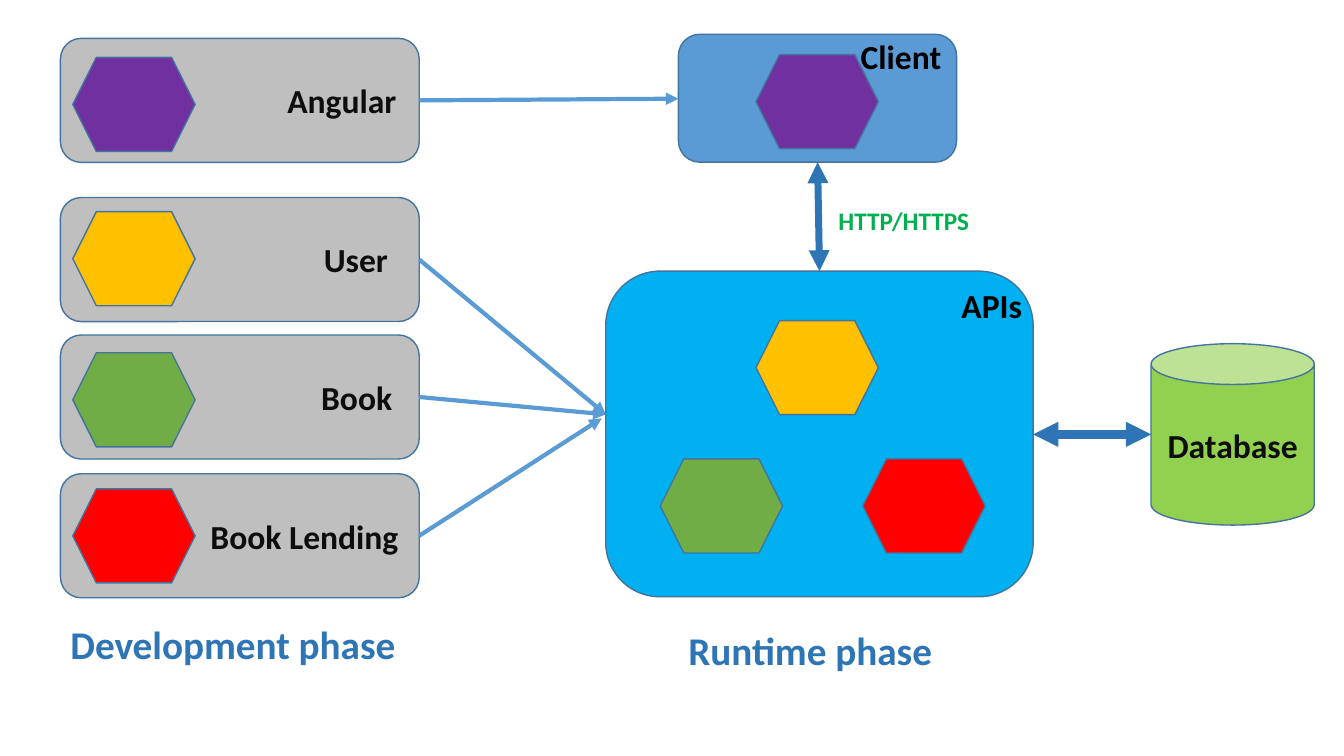
from lxml import etree
from pptx import Presentation
from pptx.dml.color import RGBColor
from pptx.enum.shapes import MSO_CONNECTOR, MSO_SHAPE
from pptx.enum.text import MSO_ANCHOR, PP_ALIGN
from pptx.oxml.ns import qn
from pptx.util import Pt

ROUNDED = MSO_SHAPE.ROUNDED_RECTANGLE
HEXAGON = MSO_SHAPE.HEXAGON
CAN = MSO_SHAPE.CAN
STRAIGHT = MSO_CONNECTOR.STRAIGHT
MIDDLE = MSO_ANCHOR.MIDDLE
CENTER, RIGHT = PP_ALIGN.CENTER, PP_ALIGN.RIGHT

OUTLINE = RGBColor(0x43, 0x73, 0x9E)
GRAY = RGBColor(0xBF, 0xBF, 0xBF)
PURPLE = RGBColor(0x70, 0x30, 0xA0)
AMBER = RGBColor(0xFF, 0xC0, 0x00)
GREEN = RGBColor(0x70, 0xAD, 0x47)
RED = RGBColor(0xFF, 0x00, 0x00)
SKY = RGBColor(0x00, 0xB0, 0xF0)
BLUE = RGBColor(0x5B, 0x9B, 0xD5)
DEEP_BLUE = RGBColor(0x2E, 0x75, 0xB6)
LIME = RGBColor(0x92, 0xD0, 0x50)
HTTP_GREEN = RGBColor(0x00, 0xB0, 0x50)
BLACK = RGBColor(0x00, 0x00, 0x00)
INK = RGBColor(0x0D, 0x0D, 0x0D)

CARD_LEFT, CARD_WIDTH, CARD_HEIGHT = 43.2, 256.3, 88.6
CARD_RIGHT = CARD_LEFT + CARD_WIDTH
HEXAGON_LEFT, HEXAGON_WIDTH, HEXAGON_HEIGHT = 52, 87.4, 67.2

# label, colour, card top, hexagon top, right margin of the label, arrow end
MODULES = [
    ("Angular", PURPLE, 27.4, 41, 12, (484.6, 70.5)),
    ("User", AMBER, 141.1, 151.2, 18, (432.7, 296)),
    ("Book", GREEN, 239.3, 252, 15, (432.7, 296)),
    ("Book Lending", RED, 338.4, 349.2, 10.5, (429.8, 298.8)),
]
RUNTIME_HEXAGONS = [
    (540, 39, PURPLE),
    (540, 229, AMBER),
    (471.6, 327.8, GREEN),
    (616.3, 327.8, RED),
]
CAPTIONS = [
    ("Development phase", 43.2, 439.2, 256.3, 41, 28, DEEP_BLUE),
    ("Runtime phase", 484.6, 443.5, 198.7, 41, 28, DEEP_BLUE),
    ("APIs", 679.7, 200.2, 59, 36, 24, BLACK),
    ("Client", 607.7, 22.3, 85, 36, 24, BLACK),
    ("HTTP/HTTPS", 591.8, 143.3, 123, 29, 18, HTTP_GREEN),
]


def add_box(page, kind, left, top, width, height, fill):
    box = page.shapes.add_shape(kind, Pt(left), Pt(top), Pt(width), Pt(height))
    box.shadow.inherit = False
    box.fill.solid()
    box.fill.fore_color.rgb = fill
    box.line.color.rgb = OUTLINE
    box.line.width = Pt(1)
    return box


def add_hexagon(page, left, top, fill):
    add_box(page, HEXAGON, left, top, HEXAGON_WIDTH, HEXAGON_HEIGHT, fill)


def write(frame, text, size, color, align=None):
    frame.word_wrap = True
    para = frame.paragraphs[0]
    para.text = text
    para.alignment = align
    para.font.name = "Calibri"
    para.font.size = Pt(size)
    para.font.bold = True
    para.font.color.rgb = color


def add_caption(page, text, left, top, width, height, size, color):
    box = page.shapes.add_textbox(Pt(left), Pt(top), Pt(width), Pt(height))
    write(box.text_frame, text, size, color)


def add_card(page, label, top, margin_right):
    card = add_box(page, ROUNDED, CARD_LEFT, top, CARD_WIDTH, CARD_HEIGHT, GRAY)
    card.text_frame.margin_right = Pt(margin_right)
    card.text_frame.vertical_anchor = MIDDLE
    write(card.text_frame, label, 24, INK, RIGHT)


def add_arrow(page, start, end, color, width, both_ends=False):
    points = [Pt(value) for value in (*start, *end)]
    arrow = page.shapes.add_connector(STRAIGHT, *points)
    arrow.line.color.rgb = color
    arrow.line.width = Pt(width)
    line = arrow.line._get_or_add_ln()
    for tag in ("a:headEnd", "a:tailEnd") if both_ends else ("a:tailEnd",):
        etree.SubElement(line, qn(tag), type="triangle")
    etree.SubElement(arrow._element.spPr, qn("a:effectLst"))


def main():
    deck = Presentation()
    deck.slide_width, deck.slide_height = Pt(960), Pt(540)
    page = deck.slides.add_slide(deck.slide_layouts[6])

    database = add_box(page, CAN, 822.2, 245.5, 116.6, 129.6, LIME)
    database.text_frame.vertical_anchor = MIDDLE
    write(database.text_frame, "Database", 24, INK, CENTER)

    add_box(page, ROUNDED, 432.7, 193.7, 305.3, 232.6, SKY)
    add_box(page, ROUNDED, 484.6, 24.5, 198.7, 91.4, BLUE)
    for left, top, color in RUNTIME_HEXAGONS:
        add_hexagon(page, left, top, color)

    for label, color, top, hexagon_top, margin_right, target in MODULES:
        add_card(page, label, top, margin_right)
        add_hexagon(page, HEXAGON_LEFT, hexagon_top, color)
        add_arrow(page, (CARD_RIGHT, top + CARD_HEIGHT / 2), target, BLUE, 3)

    add_arrow(page, (584, 115.9), (585.4, 193.7), DEEP_BLUE, 5, both_ends=True)
    add_arrow(page, (738, 310.3), (822.2, 310.3), DEEP_BLUE, 6, both_ends=True)

    for caption in CAPTIONS:
        add_caption(page, *caption)

    deck.save("out.pptx")


if __name__ == "__main__":
    main()
